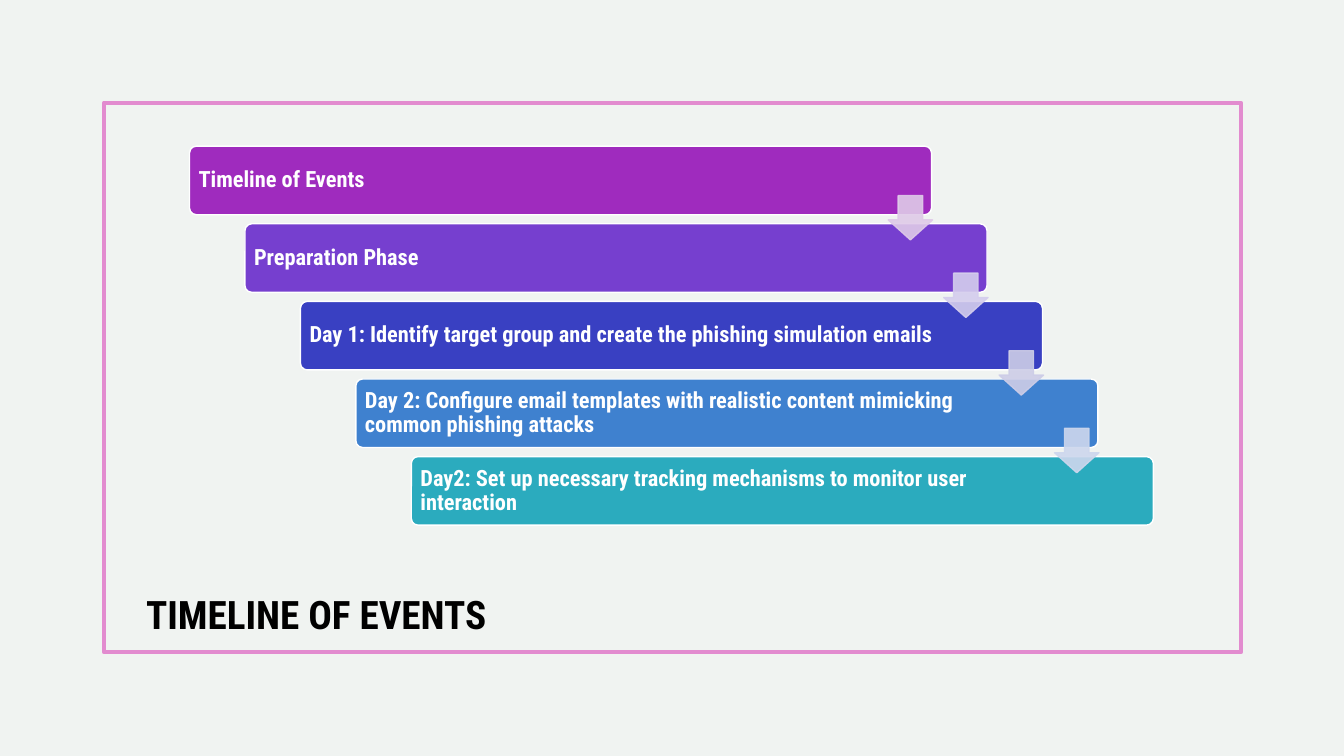
from dataclasses import dataclass

from lxml.etree import SubElement
from pptx import Presentation
from pptx.dml.color import RGBColor
from pptx.enum.shapes import MSO_SHAPE
from pptx.enum.text import MSO_ANCHOR
from pptx.oxml.ns import qn
from pptx.shapes.autoshape import Shape
from pptx.slide import Slide
from pptx.util import Emu, Pt

EMU_PER_PX = 9144  # 100 px to the inch
FONT = "Roboto Condensed"
COLORS = {
    "background": "F0F3F1",
    "frame": "E28BCF",
    "title": "000000",
    "white": "FFFFFF",
    "magenta": "9F2BBE",
    "purple": "763FCF",
    "indigo": "3940C2",
    "blue": "3F81CF",
    "teal": "2BABBE",
    "pale magenta": "DFCAE8",
    "pale purple": "D4CDED",
    "pale indigo": "CDCDE7",
    "pale blue": "CDD7ED",
}
STEP_X, STEP_Y = 55, 77
ARROW_OPACITY = 90


@dataclass(frozen=True)
class Box:
    left: int
    top: int
    width: int
    height: int

    def stepped(self, index: int) -> "Box":
        """Return the box moved down the staircase by index steps."""
        return Box(self.left + index * STEP_X, self.top + index * STEP_Y, self.width, self.height)

    def emu(self) -> tuple[Emu, ...]:
        return tuple(px(n) for n in (self.left, self.top, self.width, self.height))


@dataclass(frozen=True)
class Stage:
    text: str
    color: str
    arrow_color: str | None = None


FRAME = Box(103, 102, 1128, 545)
TITLE = Box(135, 564, 518, 73)
FIRST_BAR = Box(188, 145, 736, 68)
FIRST_LABEL = Box(190, 147, 633, 64)
FIRST_ARROW = Box(881, 194, 44, 44)

STAGES = [
    Stage("Timeline of Events", "magenta", "pale magenta"),
    Stage("Preparation Phase", "purple", "pale purple"),
    Stage("Day 1: Identify target group and create the phishing simulation emails",
          "indigo", "pale indigo"),
    Stage("Day 2: Configure email templates with realistic content mimicking common phishing attacks",
          "blue", "pale blue"),
    Stage("Day2: Set up necessary tracking mechanisms to monitor user interaction", "teal"),
]


def px(length: int) -> Emu:
    return Emu(length * EMU_PER_PX)


def rgb(name: str) -> RGBColor:
    return RGBColor.from_string(COLORS[name])


def add_block(slide: Slide, kind: MSO_SHAPE, box: Box, fill: str | None, line: str,
              line_width: int = 1, adjustments: tuple[float, ...] = ()) -> Shape:
    shape = slide.shapes.add_shape(kind, *box.emu())
    shape.shadow.inherit = False
    for index, value in enumerate(adjustments):
        shape.adjustments[index] = value
    if fill is None:
        shape.fill.background()
    else:
        shape.fill.solid()
        shape.fill.fore_color.rgb = rgb(fill)
    shape.line.color.rgb = rgb(line)
    shape.line.width = Pt(line_width)
    return shape


def set_opacity(shape: Shape, percent: int) -> None:
    """Apply the opacity to both the fill and the line."""
    for color in shape._element.spPr.iter(qn("a:srgbClr")):
        SubElement(color, qn("a:alpha"), val=str(percent * 1000))


def add_text(slide: Slide, box: Box, text: str, size: int, color: str, anchor: MSO_ANCHOR,
             line_spacing: float, inset_x: int, inset_y: int) -> None:
    text_frame = slide.shapes.add_textbox(*box.emu()).text_frame
    text_frame.word_wrap = True
    text_frame.vertical_anchor = anchor
    text_frame.margin_left = text_frame.margin_right = px(inset_x)
    text_frame.margin_top = text_frame.margin_bottom = px(inset_y)
    text_frame.text = text
    paragraph = text_frame.paragraphs[0]
    paragraph.line_spacing = line_spacing
    font = paragraph.runs[0].font
    font.name, font.size, font.bold = FONT, Pt(size), True
    font.color.rgb = rgb(color)


def add_staircase(slide: Slide) -> None:
    for index, stage in enumerate(STAGES):
        add_block(slide, MSO_SHAPE.ROUNDED_RECTANGLE, FIRST_BAR.stepped(index),
                  stage.color, "white", adjustments=(0.1,))
        add_text(slide, FIRST_LABEL.stepped(index), stage.text, 16, "white",
                 MSO_ANCHOR.MIDDLE, 0.9, 7, 7)
    for index, stage in enumerate(STAGES):
        if stage.arrow_color:
            arrow = add_block(slide, MSO_SHAPE.DOWN_ARROW, FIRST_ARROW.stepped(index),
                              stage.arrow_color, stage.arrow_color, adjustments=(0.55, 0.45))
            set_opacity(arrow, ARROW_OPACITY)


def main() -> None:
    presentation = Presentation()
    presentation.slide_width, presentation.slide_height = px(1333), px(750)
    slide = presentation.slides.add_slide(presentation.slide_layouts[6])
    slide.background.fill.solid()
    slide.background.fill.fore_color.rgb = rgb("background")
    add_block(slide, MSO_SHAPE.RECTANGLE, FRAME, None, "frame", line_width=3)
    add_text(slide, TITLE, "TIMELINE OF EVENTS", 28, "title", MSO_ANCHOR.BOTTOM, 1.2, 10, 5)
    add_staircase(slide)
    presentation.save("out.pptx")


if __name__ == "__main__":
    main()
